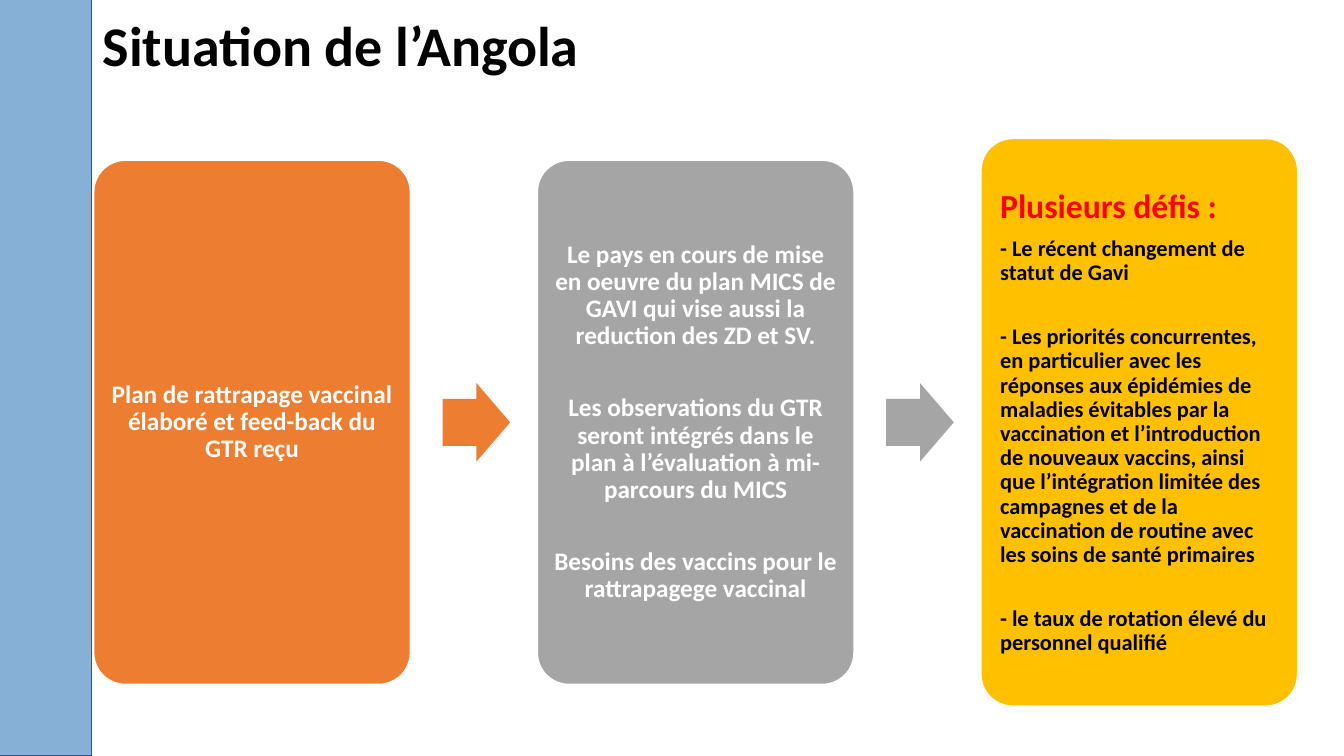
from pptx import Presentation
from pptx.dml.color import RGBColor
from pptx.enum.shapes import MSO_SHAPE
from pptx.enum.text import MSO_ANCHOR, PP_ALIGN
from pptx.util import Inches, Pt

COLORS = {
    "sidebar": "86B0D6", "sidebar_line": "325491", "orange": "ED7D31",
    "gray": "A5A5A5", "gold": "FFC000", "white": "FFFFFF",
    "black": "000000", "red": "FF0000",
}


def add_filled(kind, left, top, width, height, fill, line=None):
    sp = s.shapes.add_shape(kind, Inches(left), Inches(top), Inches(width), Inches(height))
    sp.shadow.inherit = False
    sp.fill.solid()
    sp.fill.fore_color.rgb = RGBColor.from_string(COLORS[fill])
    if line:
        sp.line.color.rgb = RGBColor.from_string(COLORS[line])
        sp.line.width = Pt(1)
    else:
        sp.line.fill.background()
    return sp


def write_paragraphs(tf, paragraphs, align, margin):
    """Fill a frame from (text, size, color, space before) tuples."""
    tf.word_wrap = True
    tf.vertical_anchor = MSO_ANCHOR.MIDDLE
    tf.margin_left = tf.margin_right = tf.margin_top = tf.margin_bottom = Inches(margin)
    for i, (text, size, color, before) in enumerate(paragraphs):
        p = tf.paragraphs[0] if i == 0 else tf.add_paragraph()
        p.text = text
        p.alignment = align
        p.line_spacing = 0.9
        p.space_before = Pt(before)
        p.font.name = "Calibri"
        p.font.size = Pt(size)
        p.font.bold = True
        p.font.color.rgb = RGBColor.from_string(COLORS[color])


prs = Presentation()
prs.slide_width, prs.slide_height = Inches(13.33), Inches(7.5)
s = prs.slides.add_slide(prs.slide_layouts[6])

add_filled(MSO_SHAPE.RECTANGLE, -0.05, -0.02, 0.96, 7.52, "sidebar", "sidebar_line")

title = s.shapes.add_textbox(Inches(0.92), Inches(0), Inches(10.98), Inches(0.96))
write_paragraphs(title.text_frame, [("Situation de l’Angola", 40, "black", 0)], PP_ALIGN.LEFT, 0.1)

# Fill, height, alignment, margin, paragraphs
cards = [
    ("orange", 5.2, PP_ALIGN.CENTER, 0.07, [
        ("Plan de rattrapage vaccinal élaboré et feed-back du GTR reçu", 18, "white", 0),
    ]),
    ("gray", 5.2, PP_ALIGN.CENTER, 0.07, [
        ("Le pays en cours de mise en oeuvre du plan MICS de GAVI qui vise aussi "
         "la reduction des ZD et SV.", 18, "white", 0),
        ("Les observations du GTR seront intégrés dans le plan à l’évaluation "
         "à mi-parcours du MICS", 18, "white", 32),
        ("Besoins des vaccins pour le rattrapagege vaccinal", 18, "white", 32),
    ]),
    ("gold", 5.63, PP_ALIGN.LEFT, 0.1, [
        ("Plusieurs défis :", 24, "red", 0),
        ("- Le récent changement de statut de Gavi", 16, "black", 8.4),
        ("- Les priorités concurrentes, en particulier avec les réponses aux épidémies "
         "de maladies évitables par la vaccination et l’introduction de nouveaux vaccins, "
         "ainsi que l’intégration limitée des campagnes et de la vaccination de routine "
         "avec les soins de santé primaires", 16, "black", 28.5),
        ("- le taux de rotation élevé du personnel qualifié", 16, "black", 28.5),
    ]),
]
FIRST_LEFT, STEP, CARD_WIDTH, MIDDLE = 0.93, 4.4, 3.14, 4.19
ARROW_OFFSET, ARROW_WIDTH, ARROW_HEIGHT = 3.46, 0.67, 0.78

for i, (fill, height, align, margin, paragraphs) in enumerate(cards):
    left = FIRST_LEFT + i * STEP
    card = add_filled(MSO_SHAPE.ROUNDED_RECTANGLE, left, MIDDLE - height / 2,
                      CARD_WIDTH, height, fill, "white")
    card.adjustments[0] = 0.1
    write_paragraphs(card.text_frame, paragraphs, align, margin)
    if i < len(cards) - 1:
        arrow = add_filled(MSO_SHAPE.RIGHT_ARROW, left + ARROW_OFFSET,
                           MIDDLE - ARROW_HEIGHT / 2, ARROW_WIDTH, ARROW_HEIGHT, fill)
        arrow.adjustments[0] = 0.6
        arrow.adjustments[1] = 0.5

prs.save("out.pptx")
